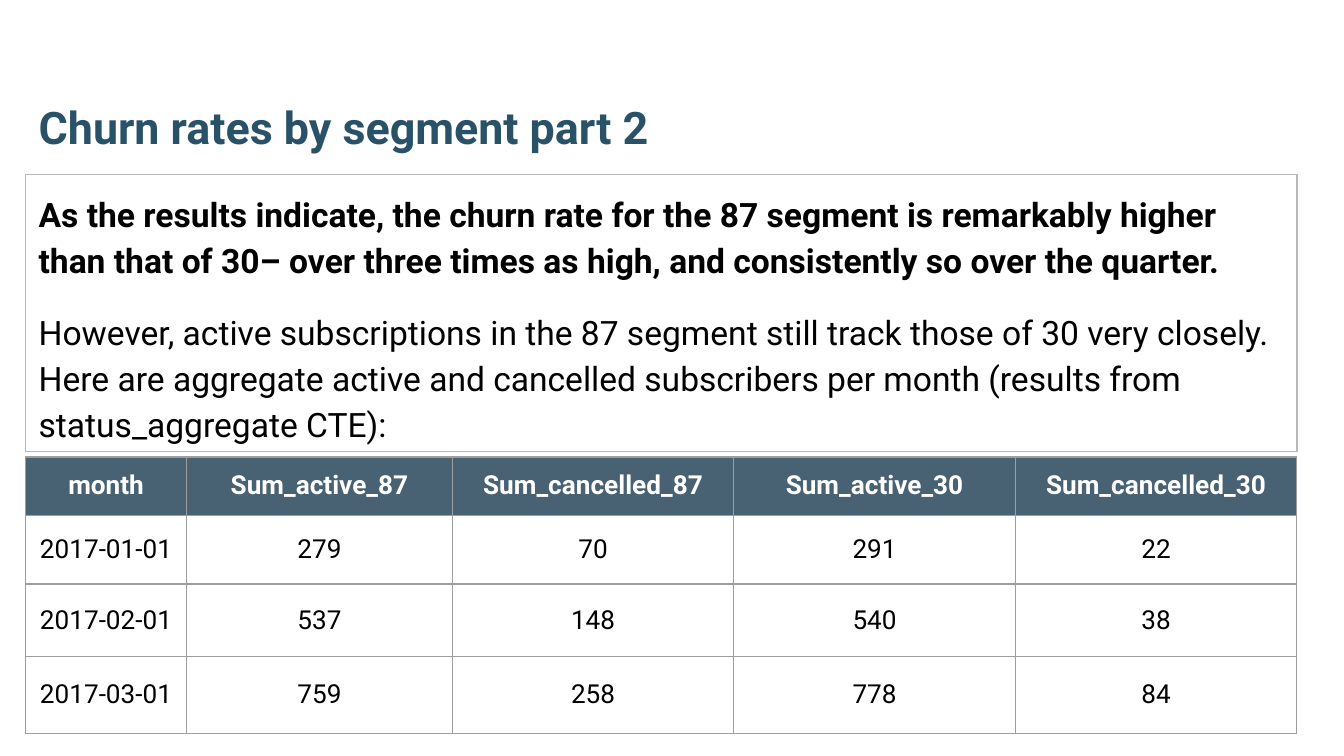
import pptx
import pptx.dml.color
import pptx.enum.text
import pptx.oxml
import pptx.oxml.ns
import pptx.util

Cm = pptx.util.Cm
Pt = pptx.util.Pt
Align = pptx.enum.text.PP_ALIGN
Anchor = pptx.enum.text.MSO_ANCHOR


def color(text):
    return pptx.dml.color.RGBColor.from_string(text)


def node(xml):
    space = pptx.oxml.ns.nsdecls("a")
    return pptx.oxml.parse_xml(xml.replace(">", f" {space}>", 1))


class Deck:
    face = "Roboto"
    left, width = 0.48, 24.03
    inset = 0.25
    blue, head, black, white = "295269", "204056", "000000", "FFFFFF"
    frame, grid = "B7B7B7", "9E9E9E"

    def __init__(self):
        self.file = pptx.Presentation()
        self.file.slide_width = Cm(25.4)
        self.file.slide_height = Cm(14.29)
        self.slide = self.file.slides.add_slide(self.file.slide_layouts[1])

    def style(self, para, size, ink, bold, align=Align.LEFT):
        para.alignment = align
        font = para.font
        font.name, font.size, font.bold = self.face, Pt(size), bold
        font.color.rgb = color(ink)

    def pad(self, item):
        item.margin_left = item.margin_right = Cm(self.inset)
        item.margin_top = item.margin_bottom = Cm(self.inset)

    def place(self, shape, top, height, anchor):
        shape.left, shape.top = Cm(self.left), Cm(top)
        shape.width, shape.height = Cm(self.width), Cm(height)
        frame = shape.text_frame
        frame.word_wrap = True
        frame.auto_size = pptx.enum.text.MSO_AUTO_SIZE.NONE
        frame.vertical_anchor = anchor
        self.pad(frame)
        return frame

    def title(self, text, top, height):
        frame = self.place(self.slide.shapes.title, top, height, Anchor.BOTTOM)
        frame.text = text
        self.style(frame.paragraphs[0], 24, self.blue, True)

    def body(self, items, top, height):
        shape = self.slide.placeholders[1]
        frame = self.place(shape, top, height, Anchor.TOP)
        shape.line.color.rgb = color(self.frame)
        shape.line.width = Pt(0.75)
        frame.text = "\n".join(text for text, bold in items)
        for i, (para, (text, bold)) in enumerate(zip(frame.paragraphs, items)):
            para.line_spacing = 1.15
            para.space_before = Pt(13.5 if i else 0)
            props = para._p.get_or_add_pPr()
            props.set("marL", "0")
            props.set("indent", "0")
            props.append(node("<a:buNone></a:buNone>"))
            self.style(para, 18, self.black, bold)

    def border(self, cell):
        props = cell._tc.get_or_add_tcPr()
        for i, side in enumerate("LRTB"):
            props.insert(i, node(
                f'<a:ln{side} w="9525"><a:solidFill><a:srgbClr val="{self.grid}"/>'
                f"</a:solidFill></a:ln{side}>"))

    def cell(self, cell, text, first):
        cell.text = text
        self.pad(cell)
        cell.vertical_anchor = Anchor.TOP if first else Anchor.MIDDLE
        ink = self.white if first else self.black
        self.style(cell.text_frame.paragraphs[0], 14, ink, first, Align.CENTER)
        if first:
            cell.fill.solid()
            cell.fill.fore_color.rgb = color(self.head)
            tint = cell._tc.tcPr.find(".//" + pptx.oxml.ns.qn("a:srgbClr"))
            tint.append(node('<a:alpha val="82000"></a:alpha>'))
        else:
            cell.fill.background()
        self.border(cell)

    def table(self, data, top, cols, rows):
        table = self.slide.shapes.add_table(
            len(rows), len(cols), Cm(self.left), Cm(top),
            Cm(self.width), Cm(sum(rows))).table
        table.first_row = table.horz_banding = False
        for col, width in zip(table.columns, cols):
            col.width = Cm(width)
        for row, height in zip(table.rows, rows):
            row.height = Cm(height)
        for r, line in enumerate(data):
            for c, text in enumerate(line):
                self.cell(table.cell(r, c), text, r == 0)


def main():
    deck = Deck()
    deck.title("Churn rates by segment part 2", 0.81, 2.34)
    deck.body([
        ("As the results indicate, the churn rate for the 87 segment is "
         "remarkably higher than that of 30– over three times as high, "
         "and consistently so over the quarter.", True),
        ("However, active subscriptions in the 87 segment still track those "
         "of 30 very closely. Here are aggregate active and cancelled "
         "subscribers per month (results from status_aggregate CTE):", False),
    ], 3.3, 5.23)
    deck.table([
        ("month", "Sum_active_87", "Sum_cancelled_87",
         "Sum_active_30", "Sum_cancelled_30"),
        ("2017-01-01", "279", "70", "291", "22"),
        ("2017-02-01", "537", "148", "540", "38"),
        ("2017-03-01", "759", "258", "778", "84"),
    ], 8.64, [3.05, 5.02] + [5.32] * 3, [1.1, 1.3, 1.37, 1.45])
    deck.file.save("out.pptx")


if __name__ == "__main__":
    main()
